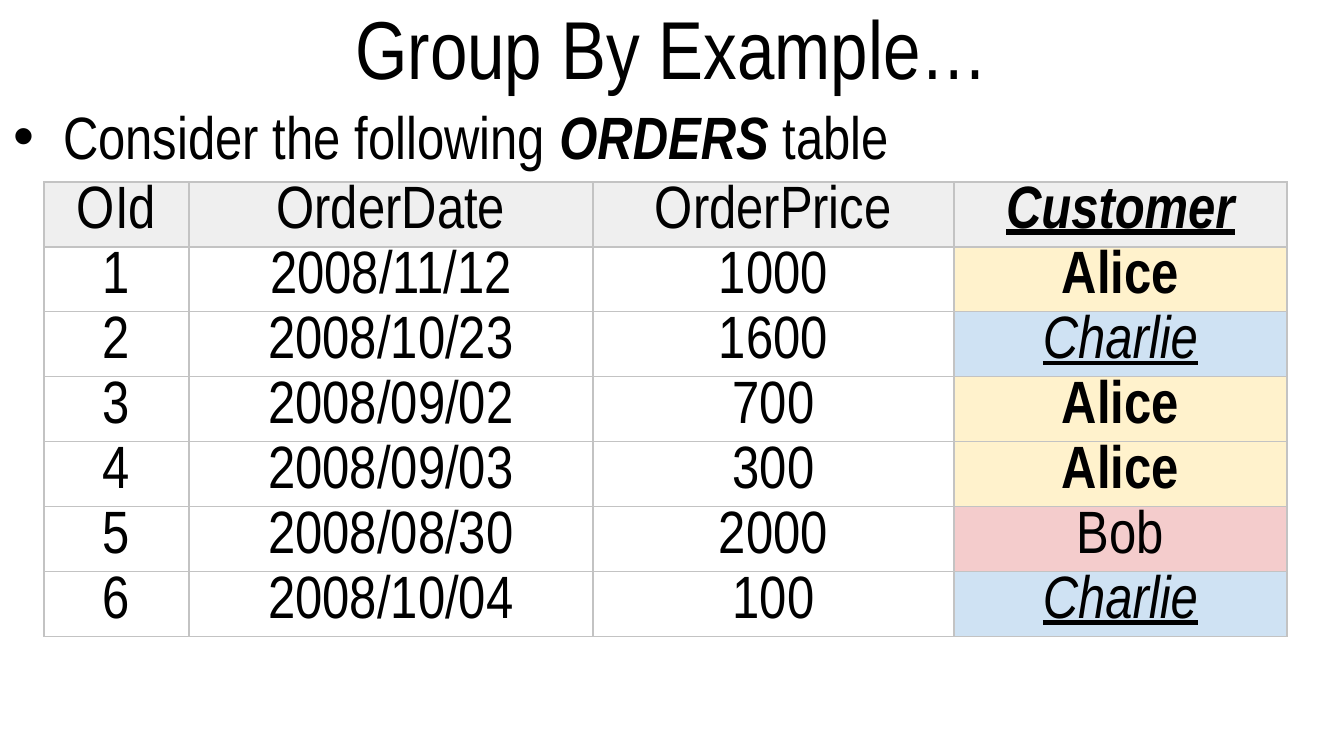
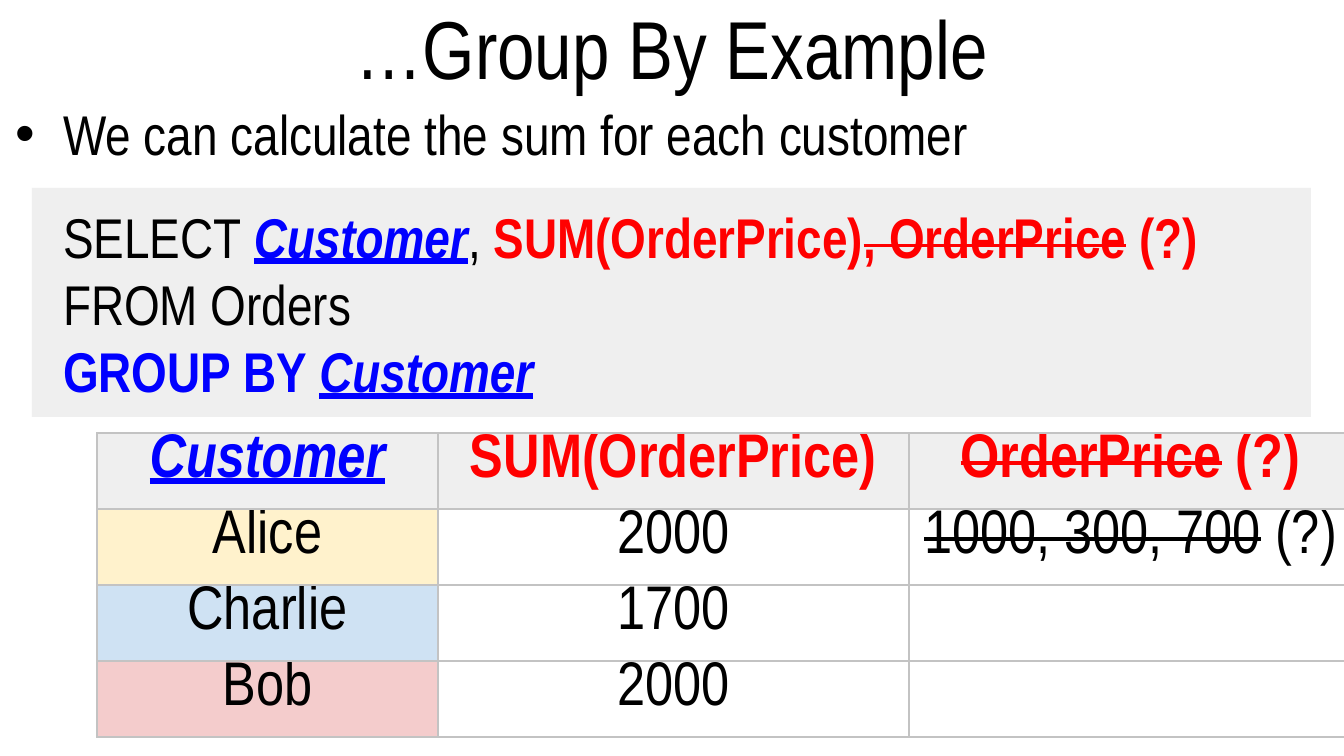
"""Build two slides that explain SQL GROUP BY with an orders table."""
from lxml.etree import SubElement as Sub
from pptx import Presentation
from pptx.dml.color import RGBColor as Rgb
from pptx.enum.shapes import MSO_SHAPE as Shape
from pptx.enum.text import MSO_ANCHOR as Anchor, PP_ALIGN as Align
from pptx.oxml.ns import qn
from pptx.util import Emu, Pt

FONT = "Arial Narrow"
BLACK, WHITE, GRAY, LINE = "000000", "FFFFFF", "EFEFEF", "C3C3C3"
INKS = {"R": "FF0000", "B": "0000FF"}
TINTS = {"Alice": "FFF2CC", "Charlie": "CFE2F3", "Bob": "F4CCCC"}
STYLES = {"Alice": "b", "Charlie": "iu", "Bob": ""}
WIDE, HIGH, BAND = 1344, 756, 93

ORDERS = [
    ("1", "2008/11/12", "1000", "Alice"),
    ("2", "2008/10/23", "1600", "Charlie"),
    ("3", "2008/09/02", "700", "Alice"),
    ("4", "2008/09/03", "300", "Alice"),
    ("5", "2008/08/30", "2000", "Bob"),
    ("6", "2008/10/04", "100", "Charlie"),
]
ORDER_ROWS = [["OId", "OrderDate", "OrderPrice", [("Customer", "biu")]]] + [
    [*rest, [(name, STYLES[name])]] for *rest, name in ORDERS
]
SUM_ROWS = [
    [[("Customer", "biuB")], [("SUM(OrderPrice)", "bR")],
     [("OrderPrice", "bsR"), (" (?)", "bR")]],
    ["Alice", "2000", [("1000, 300, 700", "s"), (" (?)", "")]],
    ["Charlie", "1700", ""],
    ["Bob", "2000", ""],
]
INTRO = [("Consider the following ", ""), ("ORDERS", "bi"), (" table", "")]
QUERY = [
    [("SELECT ", ""), ("Customer", "biuB"), (", ", ""),
     ("SUM(OrderPrice)", "bR"), (", OrderPrice", "bsR"), (" (?)", "bR")],
    "FROM Orders",
    [("GROUP BY ", "bB"), ("Customer", "biuB")],
]


def px(n):
    return Emu(round(n * 914400 / 134.4))


def rgb(code):
    return Rgb.from_string(code)


def write(para, parts, size):
    """Fill a paragraph from text or from (text, style) pairs."""
    if isinstance(parts, str):
        parts = [(parts, "")]
    font = para.font
    font.name, font.size = FONT, Pt(size)
    font.color.rgb = rgb(BLACK)
    for text, style in parts:
        run = para.add_run()
        run.text = text
        for mark, name in (("b", "bold"), ("i", "italic"), ("u", "underline")):
            if mark in style:
                setattr(run.font, name, True)
        if "s" in style:
            run._r.get_or_add_rPr().set("strike", "sngStrike")
        for mark in INKS.keys() & set(style):
            run.font.color.rgb = rgb(INKS[mark])


def indent(para, hang=0):
    """Indent a paragraph, with a bullet if it hangs."""
    props = para._p.get_or_add_pPr()
    props.set("marL", str(px(50)))
    props.set("indent", str(px(-hang)))
    if hang:
        Sub(props, qn("a:buFont"), typeface="Arial")
        Sub(props, qn("a:buChar"), char="•")


def box(slide, top, high):
    frame = slide.shapes.add_textbox(0, px(top), px(WIDE), px(high)).text_frame
    frame.word_wrap = True
    return frame


def start(deck, title):
    """Add a slide with its title."""
    slide = deck.slides.add_slide(deck.slide_layouts[6])
    frame = box(slide, 0, BAND)
    frame.vertical_anchor = Anchor.MIDDLE
    para = frame.paragraphs[0]
    para.alignment = Align.CENTER
    write(para, title, 44)
    return slide


def edge(cell):
    """Draw the four borders of a cell."""
    props = cell._tc.get_or_add_tcPr()
    for side in ("lnL", "lnR", "lnT", "lnB"):
        line = Sub(props, qn("a:" + side), w=str(Pt(0.75)))
        Sub(Sub(line, qn("a:solidFill")), qn("a:srgbClr"), val=LINE)


def grid(slide, rows, left, top, cols, high, size, anchor, lead):
    """Add a table with a gray head and tinted customer names."""
    table = slide.shapes.add_table(
        len(rows), len(cols), px(left), px(top),
        px(sum(cols)), px(high * len(rows))).table
    for col, wide in zip(table.columns, cols):
        col.width = px(wide)
    for r, row in enumerate(rows):
        for c, parts in enumerate(row):
            cell = table.cell(r, c)
            cell.margin_left = cell.margin_right = px(3)
            cell.margin_top = cell.margin_bottom = px(2)
            cell.vertical_anchor = anchor
            edge(cell)
            text = parts if isinstance(parts, str) else parts[0][0]
            cell.fill.solid()
            cell.fill.fore_color.rgb = rgb(TINTS.get(text, WHITE) if r else GRAY)
            para = cell.text_frame.paragraphs[0]
            para.alignment = Align.CENTER
            para.line_spacing = lead
            if parts:
                write(para, parts, size)


def orders(deck):
    slide = start(deck, "Group By Example…")
    para = box(slide, BAND, BAND).paragraphs[0]
    indent(para, 50)
    write(para, INTRO, 32)
    grid(slide, ORDER_ROWS, 44, 182, (145, 404, 361, 333),
         64, 32, Anchor.MIDDLE, 0.85)


def sums(deck):
    slide = start(deck, "…Group By Example")
    panel = slide.shapes.add_shape(
        Shape.RECTANGLE, px(32), px(188), px(1279), px(229))
    panel.shadow.inherit = False
    panel.fill.solid()
    panel.fill.fore_color.rgb = rgb(GRAY)
    panel.line.fill.background()
    frame = box(slide, BAND, HIGH - BAND)
    para = frame.paragraphs[0]
    indent(para, 48)
    write(para, "We can calculate the sum for each customer", 30)
    for n, parts in enumerate(QUERY):
        para = frame.add_paragraph()
        para.space_before = Pt(0 if n else 19)
        indent(para)
        write(para, parts, 30)
    grid(slide, SUM_ROWS, 97, 433, (341, 471, 443),
         76, 33, Anchor.TOP, 0.92)


def main():
    deck = Presentation()
    deck.slide_width, deck.slide_height = px(WIDE), px(HIGH)
    orders(deck)
    sums(deck)
    deck.save("out.pptx")


if __name__ == "__main__":
    main()
